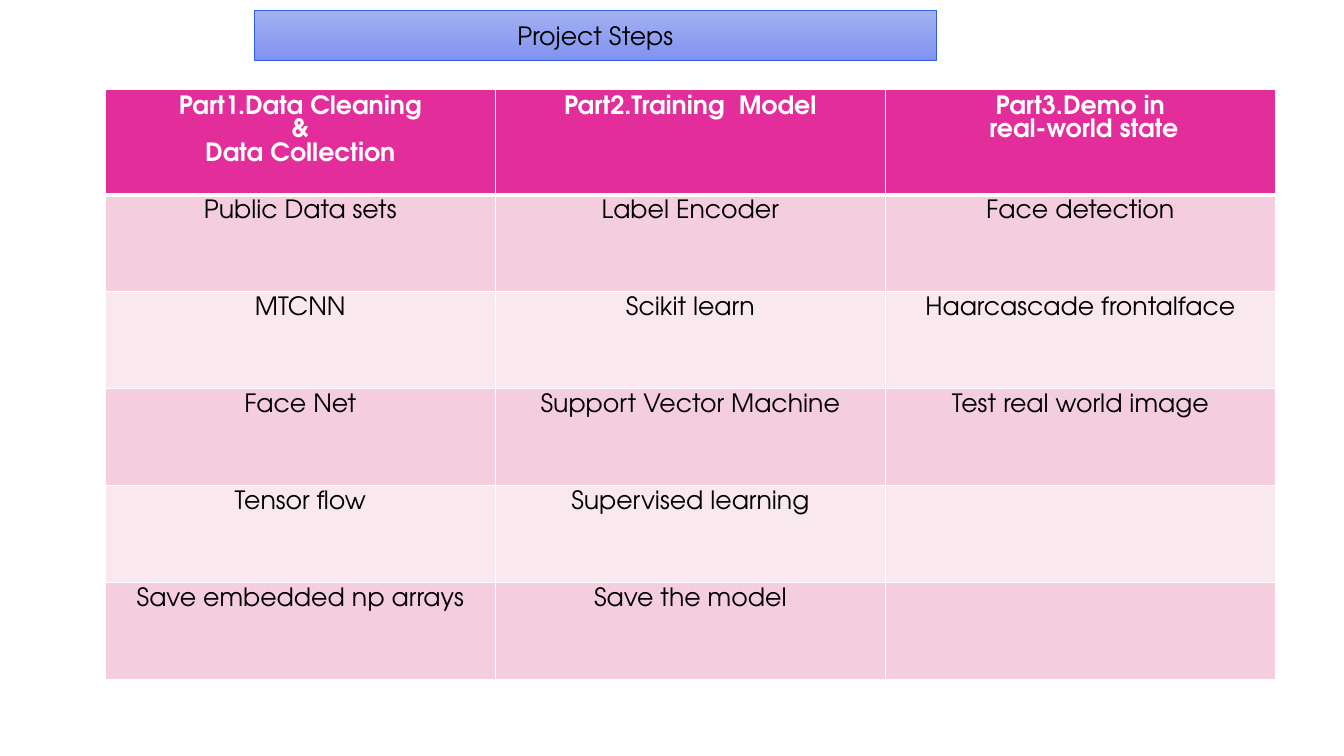
from dataclasses import dataclass

from lxml import etree
from pptx import Presentation
from pptx.dml.color import RGBColor
from pptx.enum.text import MSO_ANCHOR, PP_ALIGN
from pptx.oxml.ns import qn
from pptx.util import Pt

CENTER = PP_ALIGN.CENTER
MIDDLE = MSO_ANCHOR.MIDDLE
TITLE_ONLY = 5


@dataclass(frozen=True)
class Theme:
    font: str = "TeX Gyre Adventor"
    size: int = 18
    line_pitch: int = 17
    black: str = "000000"
    white: str = "FFFFFF"
    header: str = "E32D9B"
    bands: tuple = ("F4CDDE", "FAE8EF")
    title_gradient: tuple = ("A3B0F1", "8193F0")
    title_line: str = "2D5EE3"


theme = Theme()


def format_text(text_frame, color, bold):
    for paragraph in text_frame.paragraphs:
        paragraph.alignment = CENTER
        font_format = {"name": theme.font, "size": Pt(theme.size), "bold": bold}
        for name, value in font_format.items():
            setattr(paragraph.font, name, value)
            for run in paragraph.runs:
                setattr(run.font, name, value)
        for run in paragraph.runs:
            run.font.color.rgb = RGBColor.from_string(color)


def add_cell_borders(cell, widths):
    """Draw white borders; widths maps a:lnX tags to points, before the fill is set."""
    properties = cell._tc.get_or_add_tcPr()
    for tag, width in widths.items():
        line = etree.SubElement(properties, qn(tag), w=str(Pt(width)))
        fill = etree.SubElement(line, qn("a:solidFill"))
        etree.SubElement(fill, qn("a:srgbClr"), val=theme.white)


presentation = Presentation()
presentation.slide_width, presentation.slide_height = Pt(960), Pt(540)
slide = presentation.slides.add_slide(presentation.slide_layouts[TITLE_ONLY])

# Title bar
title = slide.shapes.title
title_box = {"left": 181.5, "top": 7.2, "width": 487.5, "height": 36}
for name, value in title_box.items():
    setattr(title, name, Pt(value))
title.fill.gradient()
title.fill.gradient_angle = 270
for stop, color in zip(title.fill.gradient_stops, theme.title_gradient):
    stop.color.rgb = RGBColor.from_string(color)
title.line.color.rgb = RGBColor.from_string(theme.title_line)
title.line.width = Pt(0.5)
title.text_frame.text = "Project Steps"
title.text_frame.vertical_anchor = MIDDLE
format_text(title.text_frame, theme.black, False)

# Steps table
steps = [
    ["Part1.Data Cleaning\n & \nData Collection", "Part2.Training  Model", "Part3.Demo in\n real-world state"],
    ["Public Data sets", "Label Encoder", "Face detection"],
    ["MTCNN", "Scikit learn", "Haarcascade frontalface"],
    ["Face Net", "Support Vector Machine", "Test real world image"],
    ["Tensor flow", "Supervised learning", ""],
    ["Save embedded np arrays", "Save the model", ""],
]
column_width, header_height, row_height = 278.6, 75, 69.3
table_width = column_width * len(steps[0])
table_height = header_height + row_height * (len(steps) - 1)
table = slide.shapes.add_table(
    len(steps), len(steps[0]), Pt(75.2), Pt(64.2), Pt(table_width), Pt(table_height)
).table

for column in table.columns:
    column.width = Pt(column_width)

for row_index, row_texts in enumerate(steps):
    is_header = row_index == 0
    table.rows[row_index].height = Pt(header_height if is_header else row_height)
    fill_color = theme.header if is_header else theme.bands[(row_index - 1) % 2]
    borders = {
        "a:lnL": 1,
        "a:lnR": 1,
        "a:lnT": 3 if row_index == 1 else 1,
        "a:lnB": 3 if is_header else 1,
    }
    for column_index, text in enumerate(row_texts):
        cell = table.cell(row_index, column_index)
        add_cell_borders(cell, borders)
        cell.fill.solid()
        cell.fill.fore_color.rgb = RGBColor.from_string(fill_color)
        cell.text_frame.text = text
        format_text(cell.text_frame, theme.white if is_header else theme.black, is_header)
        for paragraph in cell.text_frame.paragraphs:
            paragraph.line_spacing = Pt(theme.line_pitch)

presentation.save("out.pptx")
